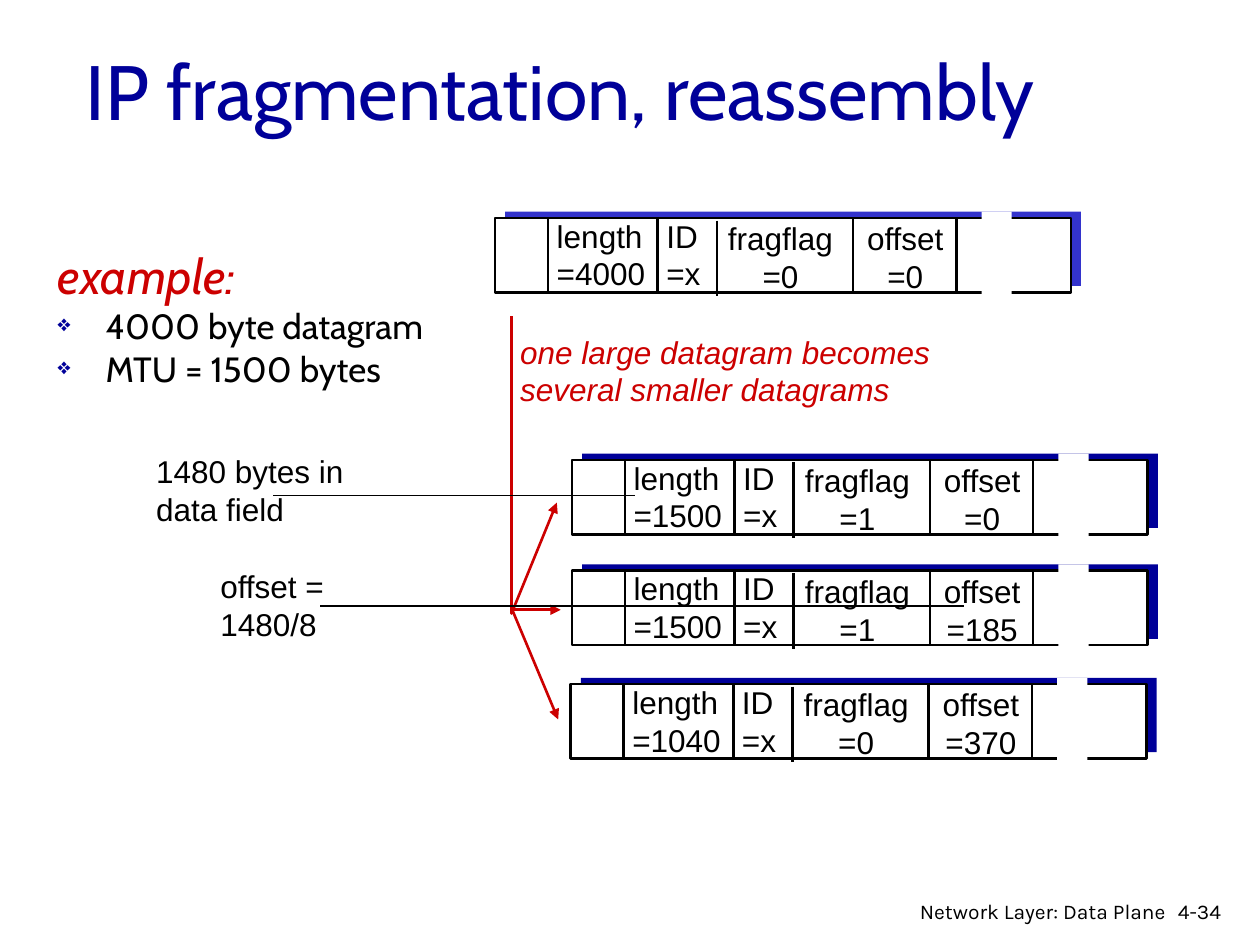
from pptx import Presentation, util as u
from pptx.dml.color import RGBColor
from pptx.enum import shapes, text
from pptx.oxml import parse_xml
from pptx.oxml.ns import nsdecls, qn

BLACK, WHITE, RED, NAVY, BLUE = "000000", "FFFFFF", "CC0000", "000099", "3333CC"
LEFT, CENTER, RIGHT = text.PP_ALIGN.LEFT, text.PP_ALIGN.CENTER, text.PP_ALIGN.RIGHT


def color(value):
    return RGBColor.from_string(value)


def add_xml(parent, tag, attributes="", inner=""):
    parent.append(parse_xml(f"<a:{tag} {nsdecls('a')} {attributes}>{inner}</a:{tag}>"))


def add_para(frame, content, first=False, font="Arial", size=18, ink=BLACK,
             italic=False, align=LEFT, spacing=None, before=None, bullet=None, indent=0):
    para = frame.paragraphs[0] if first else frame.add_paragraph()
    para.text = content
    para.alignment = align
    if spacing:
        para.line_spacing = spacing
    if before is not None:
        para.space_before = u.Pt(before)
    for span in para.runs:
        span.font.name, span.font.size = font, u.Pt(size)
        span.font.italic = italic
        span.font.color.rgb = color(ink)
    if indent:
        properties = para._p.get_or_add_pPr()
        properties.set("marL", str(u.Inches(indent)))
        properties.set("indent", str(-u.Inches(indent)))
        if bullet:
            add_xml(properties, "buClr", inner=f'<a:srgbClr val="{NAVY}"/>')
            add_xml(properties, "buSzPct", 'val="65000"')
            add_xml(properties, "buChar", f'char="{bullet}"')


class Sketch:
    """Holds the drawing style and the current page."""

    def __init__(self, page, line_width=1.5):
        self.page = page
        self.line_width = line_width

    def rect(self, left, top, width, height, fill, line=None):
        box = self.page.shapes.add_shape(
            shapes.MSO_SHAPE.RECTANGLE, *map(u.Inches, (left, top, width, height)))
        box.shadow.inherit = False
        box.fill.solid()
        box.fill.fore_color.rgb = color(fill)
        if line:
            self.outline(box, line)
        else:
            box.line.fill.background()

    def outline(self, item, ink, width=None, arrow=False):
        item.line.color.rgb = color(ink)
        item.line.width = u.Pt(width or self.line_width)
        if arrow:
            add_xml(item.line._get_or_add_ln(), "tailEnd", 'type="triangle"')

    def line(self, x1, y1, x2, y2, ink=BLACK, width=None, arrow=False):
        link = self.page.shapes.add_connector(
            shapes.MSO_CONNECTOR.STRAIGHT, *map(u.Inches, (x1, y1, x2, y2)))
        self.outline(link, ink, width, arrow)
        add_xml(link._element.find(qn("p:spPr")), "effectLst")

    def polyline(self, points, ink, arrow=False):
        start, *rest = [(u.Inches(x), u.Inches(y)) for x, y in points]
        builder = self.page.shapes.build_freeform(*start)
        builder.add_line_segments(rest, close=False)
        shape = builder.convert_to_shape()
        shape.shadow.inherit = False
        shape.fill.background()
        self.outline(shape, ink, arrow=arrow)

    def text(self, left, top, width, height, lines, wrap=False,
             anchor=text.MSO_ANCHOR.TOP, **style):
        """Each line is a string, or a pair of a string and its own format."""
        box = self.page.shapes.add_textbox(*map(u.Inches, (left, top, width, height)))
        frame = box.text_frame
        frame.word_wrap = wrap
        frame.vertical_anchor = anchor
        if not wrap:
            frame.auto_size = text.MSO_AUTO_SIZE.SHAPE_TO_FIT_TEXT
        for index, line in enumerate(lines):
            content, own = (line, {}) if isinstance(line, str) else line
            add_para(frame, content, first=index == 0, **{**style, **own})

    def datagram(self, left, top, shade, length, flag, offset):
        # Body with offset backdrop
        self.rect(left + 0.08, top - 0.05, 4.57, 0.59, shade)
        self.rect(left, top, 4.57, 0.59, WHITE, BLACK)
        # Header fields
        fields = [("ID", "x", 1.26, -0.06, 0.47, LEFT),
                  ("offset", offset, 2.84, -0.04, 0.83, CENTER),
                  ("fragflag", flag, 1.73, -0.04, 1.07, CENTER),
                  ("length", length, 0.39, -0.06, 0.92, LEFT)]
        for name, value, dx, dy, width, align in fields:
            self.text(left + dx, top + dy, width, 0.7, [name, f"={value}"], align=align)
        # Field dividers
        for dx, dy in [(0.42, 0), (1.29, 0), (1.76, 0.02), (2.84, 0), (3.66, 0)]:
            self.line(left + dx, top + dy, left + dx, top + dy + 0.6)
        # Gap in the data field
        self.rect(left + 3.86, top - 0.05, 0.24, 0.66, WHITE)


def main():
    deck = Presentation()
    deck.slide_width, deck.slide_height = u.Inches(10), u.Inches(7.5)
    sketch = Sketch(deck.slides.add_slide(deck.slide_layouts[6]))

    # Large datagram and its fragments
    for datagram in [(3.93, 1.73, BLUE, 4000, 0, 0),
                     (4.54, 3.65, NAVY, 1500, 1, 0),
                     (4.54, 4.53, NAVY, 1500, 1, 185),
                     (4.53, 5.43, NAVY, 1040, 0, 370)]:
        sketch.datagram(*datagram)

    # Arrows to the fragments
    sketch.polyline([(4.06, 2.51), (4.06, 4.87), (4.42, 3.99)], RED, arrow=True)
    sketch.line(4.06, 4.84, 4.45, 4.84, RED, arrow=True)
    sketch.line(4.07, 4.85, 4.43, 5.71, RED, arrow=True)
    sketch.text(4.03, 2.59, 3.45, 0.7,
                ["one large datagram becomes", "several smaller datagrams"],
                ink=RED, italic=True)

    # Example
    heading = dict(size=28, ink=RED, italic=True, before=5.6)
    item = dict(size=20, before=4, bullet="❖")
    sketch.text(0.36, 1.97, 3.1, 1.84,
                [("example:", heading), ("4000 byte datagram", item),
                 ("MTU = 1500 bytes", item)],
                wrap=True, font="Cabin", spacing=0.85, indent=0.38)

    # Notes with leader lines
    sketch.text(1.14, 3.54, 1.76, 0.7, ["1480 bytes in \vdata field"])
    sketch.text(1.65, 4.45, 1.03, 0.7, ["offset =", "1480/8"])
    sketch.line(2.17, 3.93, 5.04, 3.93, width=0.75)
    sketch.line(7.65, 4.81, 2.54, 4.81, width=0.75)

    # Title and footer
    sketch.text(0.58, 0.2, 8.5, 1.02, ["IP fragmentation, reassembly"], wrap=True,
                anchor=text.MSO_ANCHOR.MIDDLE, font="Cabin", size=44, ink=NAVY)
    footer = dict(wrap=True, font="Karla", size=12)
    sketch.text(9.25, 7.08, 0.61, 0.3, ["4-34"], **footer)
    sketch.text(6.97, 7.08, 2.38, 0.26, ["Network Layer: Data Plane"], align=RIGHT, **footer)

    deck.save("out.pptx")


if __name__ == "__main__":
    main()
